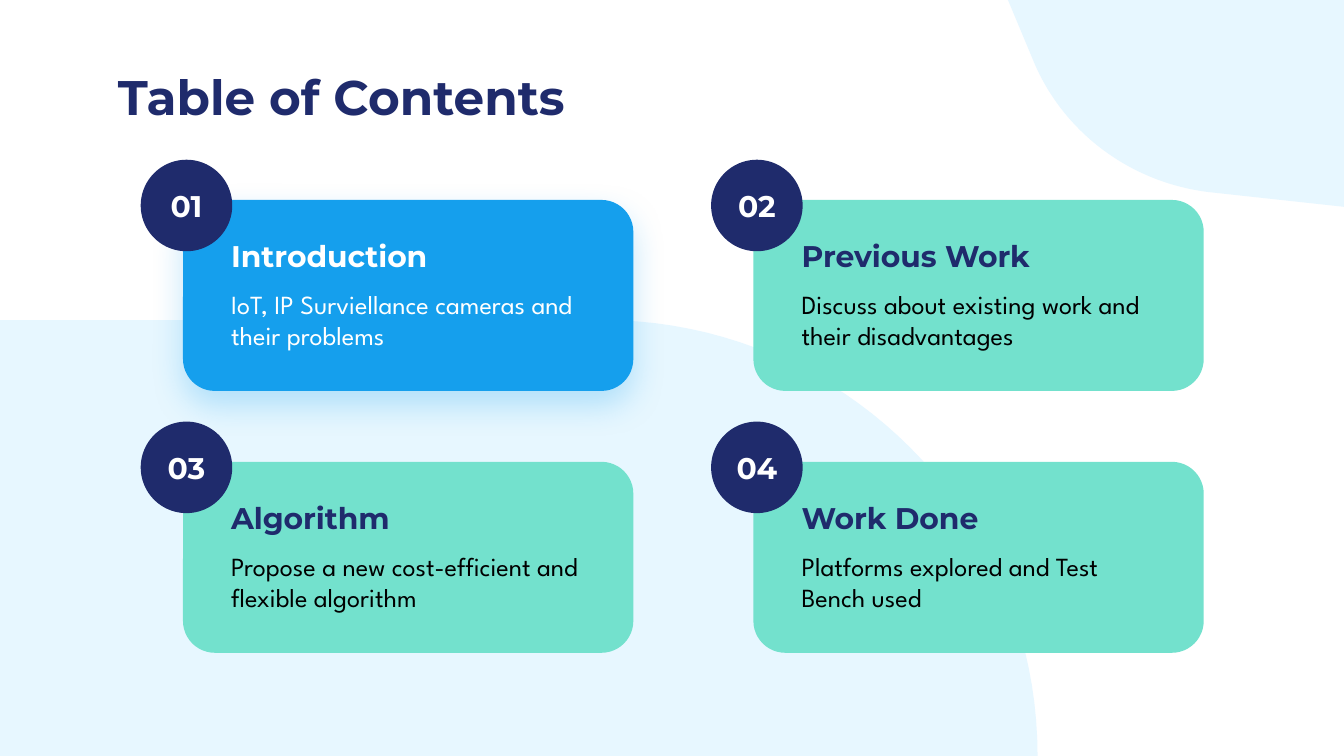
import lxml.etree
import pptx
import pptx.dml.color
import pptx.enum.shapes
import pptx.enum.text
import pptx.oxml.ns
import pptx.util

Cm = pptx.util.Cm
RGBColor = pptx.dml.color.RGBColor
MSO_SHAPE = pptx.enum.shapes.MSO_SHAPE
MSO_ANCHOR = pptx.enum.text.MSO_ANCHOR
PP_ALIGN = pptx.enum.text.PP_ALIGN

NAVY = RGBColor(0x1F, 0x2B, 0x6C)
BLUE = RGBColor(0x15, 0x9F, 0xED)
MINT = RGBColor(0x73, 0xE1, 0xCD)
PALE = RGBColor(0xE7, 0xF7, 0xFF)
WHITE = RGBColor(0xFF, 0xFF, 0xFF)
BLACK = RGBColor(0x00, 0x00, 0x00)

HEAD_FONT = "Montserrat"
BODY_FONT = "League Spartan"
INSET = 0.25

WAVE = [[(0, 0)], [(11.38, 0)],
        [(15.93, 0), (19.61, 3.68), (19.61, 8.24)], [(0, 8.24)]]
CORNER = [[(0, 0)], [(0.51, 1.22)],
          [(1.09, 2.54), (2.34, 3.45), (3.78, 3.63)],
          [(6.35, 3.91)], [(6.35, 0)]]

TOPICS = [
    ("Introduction", "IoT, IP Surviellance cameras and their problems"),
    ("Previous Work", "Discuss about existing work and their disadvantages"),
    ("Algorithm", "Propose a new cost-efficient and flexible algorithm"),
    ("Work Done", "Platforms explored and Test Bench used"),
]


def paint(sp, color):
    """Give a shape a plain fill without line or shadow."""
    sp.fill.solid()
    sp.fill.fore_color.rgb = color
    sp.line.fill.background()
    sp.shadow.inherit = False


def add_glow(sp, color):
    """Add a soft coloured shadow below a shape."""
    effects = sp._element.spPr.find(pptx.oxml.ns.qn("a:effectLst"))
    shadow = lxml.etree.SubElement(
        effects, pptx.oxml.ns.qn("a:outerShdw"), blurRad=str(pptx.util.Pt(18)),
        dist=str(pptx.util.Pt(7.5)), dir="5400000", algn="bl", rotWithShape="0")
    rgb = lxml.etree.SubElement(shadow, pptx.oxml.ns.qn("a:srgbClr"), val=str(color))
    lxml.etree.SubElement(rgb, pptx.oxml.ns.qn("a:alpha"), val="25000")


def write(sp, text, font, size, color, bold=False, align=PP_ALIGN.LEFT,
          anchor=MSO_ANCHOR.TOP, inset=INSET):
    """Set and format the text of a shape."""
    tf = sp.text_frame
    tf.text = text
    tf.word_wrap = True
    tf.auto_size = pptx.enum.text.MSO_AUTO_SIZE.NONE
    tf.vertical_anchor = anchor
    tf.margin_left = tf.margin_right = tf.margin_top = tf.margin_bottom = Cm(inset)
    p = tf.paragraphs[0]
    p.alignment = align
    r = p.runs[0]
    r.font.name = font
    r.font.size = pptx.util.Pt(size)
    r.font.bold = bold
    r.font.color.rgb = color


def bezier(start, c1, c2, end, steps=40):
    """Return points along a cubic curve, without its start."""
    points = []
    for i in range(1, steps + 1):
        t = i / steps
        weights = ((1 - t) ** 3, 3 * t * (1 - t) ** 2, 3 * t * t * (1 - t), t ** 3)
        points.append(tuple(sum(w * v for w, v in zip(weights, axis))
                            for axis in zip(start, c1, c2, end)))
    return points


def add_backdrop(s, left, top, segments):
    """Draw a pale curved area whose box starts at left, top."""
    points = []
    for segment in segments:
        points += bezier(points[-1], *segment) if len(segment) == 3 else segment
    outline = [(Cm(left + x), Cm(top + y)) for x, y in points]
    builder = s.shapes.build_freeform(*outline[0])
    builder.add_line_segments(outline[1:], close=True)
    paint(builder.convert_to_shape(), PALE)


def add_title(s, left, top, width, height, text):
    """Place the slide title in its box."""
    sp = s.shapes.title
    sp.left, sp.top, sp.width, sp.height = Cm(left), Cm(top), Cm(width), Cm(height)
    write(sp, text, HEAD_FONT, 26, NAVY, bold=True)


def add_card(s, left, top, width, height, number, heading, detail, active):
    """Draw one topic card with its number badge."""
    card = s.shapes.add_shape(MSO_SHAPE.ROUNDED_RECTANGLE,
                              Cm(left), Cm(top), Cm(width), Cm(height))
    paint(card, BLUE if active else MINT)
    if active:
        add_glow(card, BLUE)

    badge = s.shapes.add_shape(MSO_SHAPE.OVAL, Cm(left - 0.8), Cm(top - 0.76),
                               Cm(1.73), Cm(1.73))
    paint(badge, NAVY)
    write(badge, f"{number:02d}", HEAD_FONT, 16, WHITE, bold=True,
          align=PP_ALIGN.CENTER, anchor=MSO_ANCHOR.MIDDLE, inset=0)

    text_left, text_width = Cm(left + 0.66), Cm(width - 2 * 0.66)
    sp = s.shapes.add_textbox(text_left, Cm(top + 0.46), text_width, Cm(1.17))
    write(sp, heading, HEAD_FONT, 16, WHITE if active else NAVY, bold=True)
    sp = s.shapes.add_textbox(text_left, Cm(top + 1.42), text_width, Cm(1.73))
    write(sp, detail, BODY_FONT, 14, WHITE if active else BLACK)


def add_cards(s, left, top, width, height):
    """Lay the topics out in a two-by-two grid that fills the box."""
    card_width, card_height = 8.51, 3.61
    for i, (heading, detail) in enumerate(TOPICS):
        row, col = divmod(i, 2)
        add_card(s, left + col * (width - card_width),
                 top + row * (height - card_height),
                 card_width, card_height, i + 1, heading, detail, active=i == 0)


def main():
    """Build and save the contents slide."""
    prs = pptx.Presentation()
    prs.slide_width, prs.slide_height = Cm(25.4), Cm(14.29)
    s = prs.slides.add_slide(prs.slide_layouts.get_by_name("Title Only"))
    add_backdrop(s, 0, 6.05, WAVE)
    add_backdrop(s, 19.05, 0, CORNER)
    add_title(s, 1.98, 1.02, 21.44, 1.6, "Table of Contents")
    add_cards(s, 3.46, 3.78, 19.29, 8.56)
    prs.save("out.pptx")


if __name__ == "__main__":
    main()
